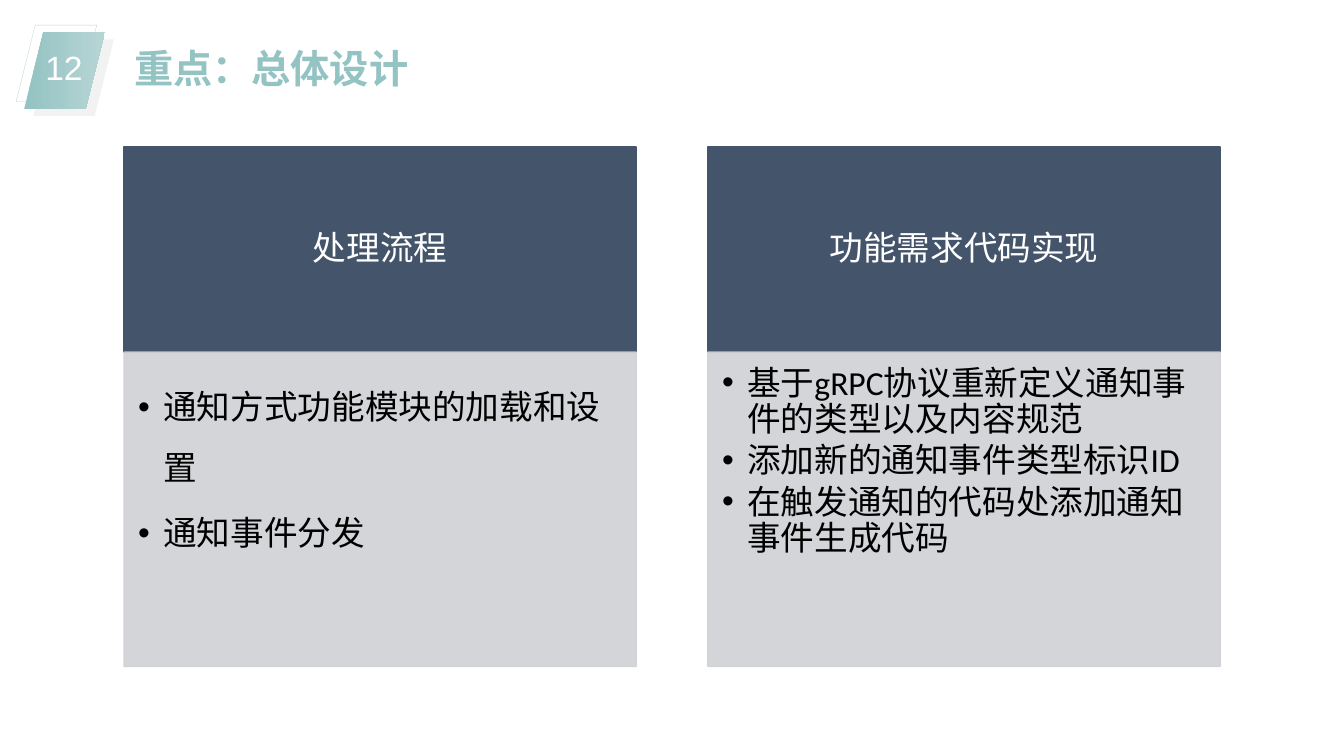
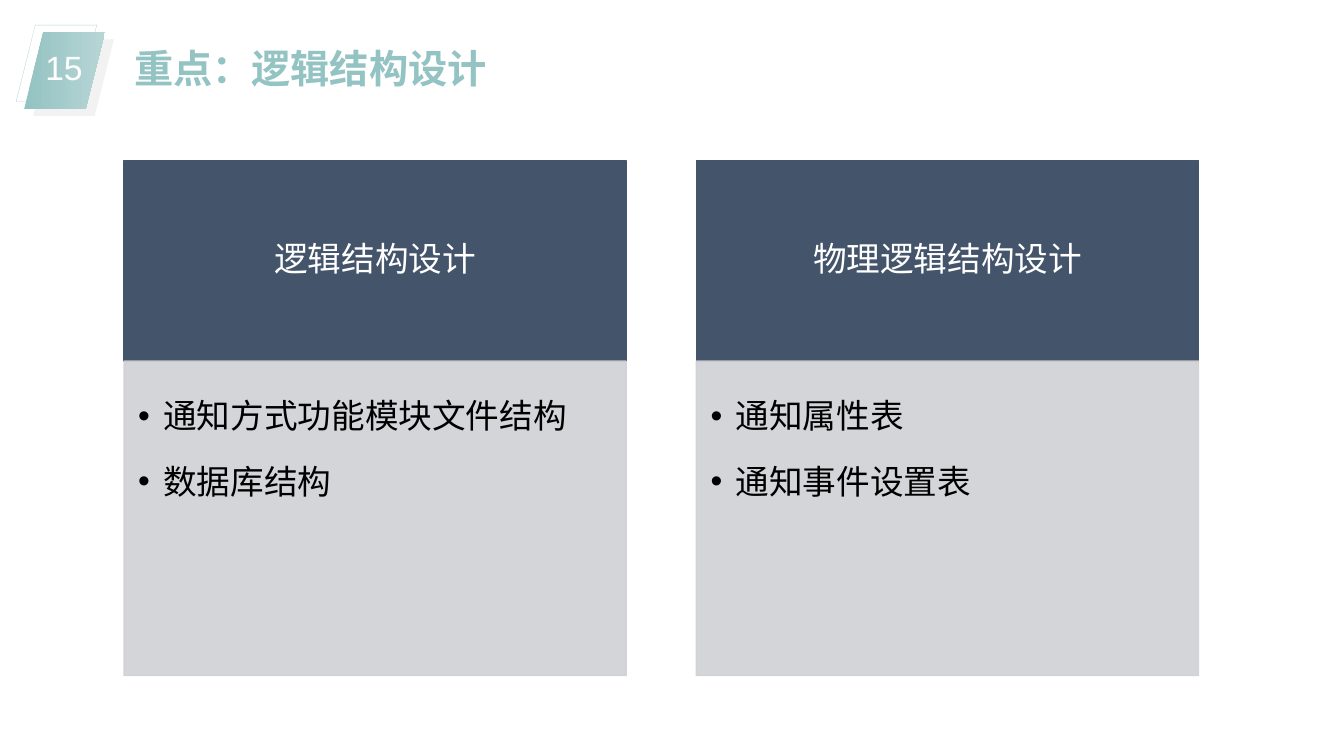
from dataclasses import dataclass

from pptx import Presentation
from pptx import util as u
from pptx.dml import color
from pptx.enum import shapes, text
from pptx.oxml import ns, xmlchemy

TEAL, PALE_TEAL, TEAL_LINE = "93C3C2", "B7D5D5", "BAD7D7"
NAVY, GREY, SHADE = "44546A", "CFD1D4", "F2F2F2"
WHITE, BLACK = "FFFFFF", "000000"
COMPARISON_LAYOUT = 4
LEFT = 1.23
LIST_HEIGHT = 3.12
GAP_SHARE = 0.14
HEADING_SHARE = 0.4
INDENT = u.Inches(0.25)


@dataclass(frozen=True)
class Column:
    heading: str
    items: tuple[str, ...]
    spacing: float = 1.5


@dataclass(frozen=True)
class Topic:
    number: str
    title: str
    top: float
    width: float
    columns: tuple[Column, Column]


TOPICS = (
    Topic("12", "重点：总体设计", 1.46, 5.08, (
        Column("处理流程", ("通知方式功能模块的加载和设置", "通知事件分发")),
        Column("功能需求代码实现", (
            "基于gRPC协议重新定义通知事件的类型以及内容规范",
            "添加新的通知事件类型标识ID",
            "在触发通知的代码处添加通知事件生成代码",
        ), 0.9),
    )),
    Topic("15", "重点：逻辑结构设计", 1.59, 4.98, (
        Column("逻辑结构设计", ("通知方式功能模块文件结构", "数据库结构")),
        Column("物理逻辑结构设计", ("通知属性表", "通知事件设置表")),
    )),
)


def rgb(value: str) -> color.RGBColor:
    return color.RGBColor.from_string(value)


def place(shape, left: float, top: float, width: float, height: float) -> None:
    shape.left, shape.top = u.Inches(left), u.Inches(top)
    shape.width, shape.height = u.Inches(width), u.Inches(height)


def paint(shape, value: str, opacity: int = 100) -> None:
    shape.fill.solid()
    shape.fill.fore_color.rgb = rgb(value)
    shape.line.color.rgb = rgb(value)
    shape.line.width = u.Pt(1)
    if opacity < 100:
        for paint_color in shape._element.spPr.iter(ns.qn("a:srgbClr")):
            alpha = xmlchemy.OxmlElement("a:alpha")
            alpha.set("val", str(opacity * 1000))
            paint_color.append(alpha)


def set_frame(shape, anchor, insets=(0.1, 0.05, 0.1, 0.05), wrap: bool = True):
    frame = shape.text_frame
    frame.auto_size = text.MSO_AUTO_SIZE.NONE
    frame.word_wrap = wrap
    frame.vertical_anchor = anchor
    frame.margin_left, frame.margin_top, frame.margin_right, frame.margin_bottom = map(u.Inches, insets)
    return frame


def style(para, face: str, size: int, value: str, align, spacing: float = 1.0, bold: bool = False) -> None:
    para.alignment = align
    para.line_spacing = spacing
    para.space_before = u.Pt(0)
    para.font.name = face
    para.font.size = u.Pt(size)
    para.font.bold = bold
    para.font.color.rgb = rgb(value)


def add_badge(page, number: str) -> None:
    outline, shade, front = (
        page.shapes.add_shape(shapes.MSO_SHAPE.PARALLELOGRAM, *map(u.Inches, (left, top, 0.8, 0.76)))
        for left, top in ((0.16, 0.25), (0.33, 0.39), (0.24, 0.32))
    )
    for shape in (outline, shade, front):
        shape.shadow.inherit = False
    outline.fill.background()
    outline.line.color.rgb = rgb(TEAL_LINE)
    outline.line.width = u.Pt(0.25)
    shade.fill.solid()
    shade.fill.fore_color.rgb = rgb(SHADE)
    front.fill.gradient()
    front.fill.gradient_angle = 0
    for stop, value in zip(front.fill.gradient_stops, (TEAL, PALE_TEAL)):
        stop.color.rgb = rgb(value)
    for shape in (shade, front):
        shape.line.fill.background()

    box = page.shapes.add_textbox(*map(u.Inches, (0.33, 0.36, 0.61, 0.54)))
    frame = set_frame(box, text.MSO_ANCHOR.MIDDLE, wrap=False)
    frame.text = number
    style(frame.paragraphs[0], "Arial", 24, WHITE, text.PP_ALIGN.CENTER, 1.2)


def fill_title(page, title: str) -> None:
    box = page.shapes.title
    place(box, LEFT, 0.39, 5.43, 0.57)
    frame = set_frame(box, text.MSO_ANCHOR.TOP)
    frame.text = title
    style(frame.paragraphs[0], "Arial", 28, TEAL, text.PP_ALIGN.LEFT, bold=True)


def fill_column(heading, body, column: Column, left: float, top: float, width: float) -> None:
    heading_height = width * HEADING_SHARE
    place(heading, left, top, width, heading_height)
    paint(heading, NAVY)
    frame = set_frame(heading, text.MSO_ANCHOR.MIDDLE, (0.19, 0.11, 0.19, 0.11))
    frame.text = column.heading
    style(frame.paragraphs[0], "Calibri", 24, WHITE, text.PP_ALIGN.CENTER, 0.9)

    place(body, left, top + heading_height, width, LIST_HEIGHT)
    paint(body, GREY, 90)
    frame = set_frame(body, text.MSO_ANCHOR.TOP, (0.14, 0.14, 0.19, 0.21))
    frame.text = "\n".join(column.items)
    for para in frame.paragraphs:
        style(para, "Calibri", 24, BLACK, text.PP_ALIGN.LEFT, column.spacing)
        para.space_after = u.Pt(3.6)
        properties = para._p.get_or_add_pPr()
        properties.set("marL", str(INDENT))
        properties.set("indent", str(-INDENT))


def add_page(deck, topic: Topic) -> None:
    page = deck.slides.add_slide(deck.slide_layouts[COMPARISON_LAYOUT])
    add_badge(page, topic.number)
    fill_title(page, topic.title)
    for index, column in enumerate(topic.columns):
        left = LEFT + index * topic.width * (1 + GAP_SHARE)
        heading, body = (page.placeholders[2 * index + slot] for slot in (1, 2))
        fill_column(heading, body, column, left, topic.top, topic.width)


def main() -> None:
    deck = Presentation()
    deck.slide_width, deck.slide_height = u.Inches(13.33), u.Inches(7.5)
    for topic in TOPICS:
        add_page(deck, topic)
    deck.save("out.pptx")


if __name__ == "__main__":
    main()
